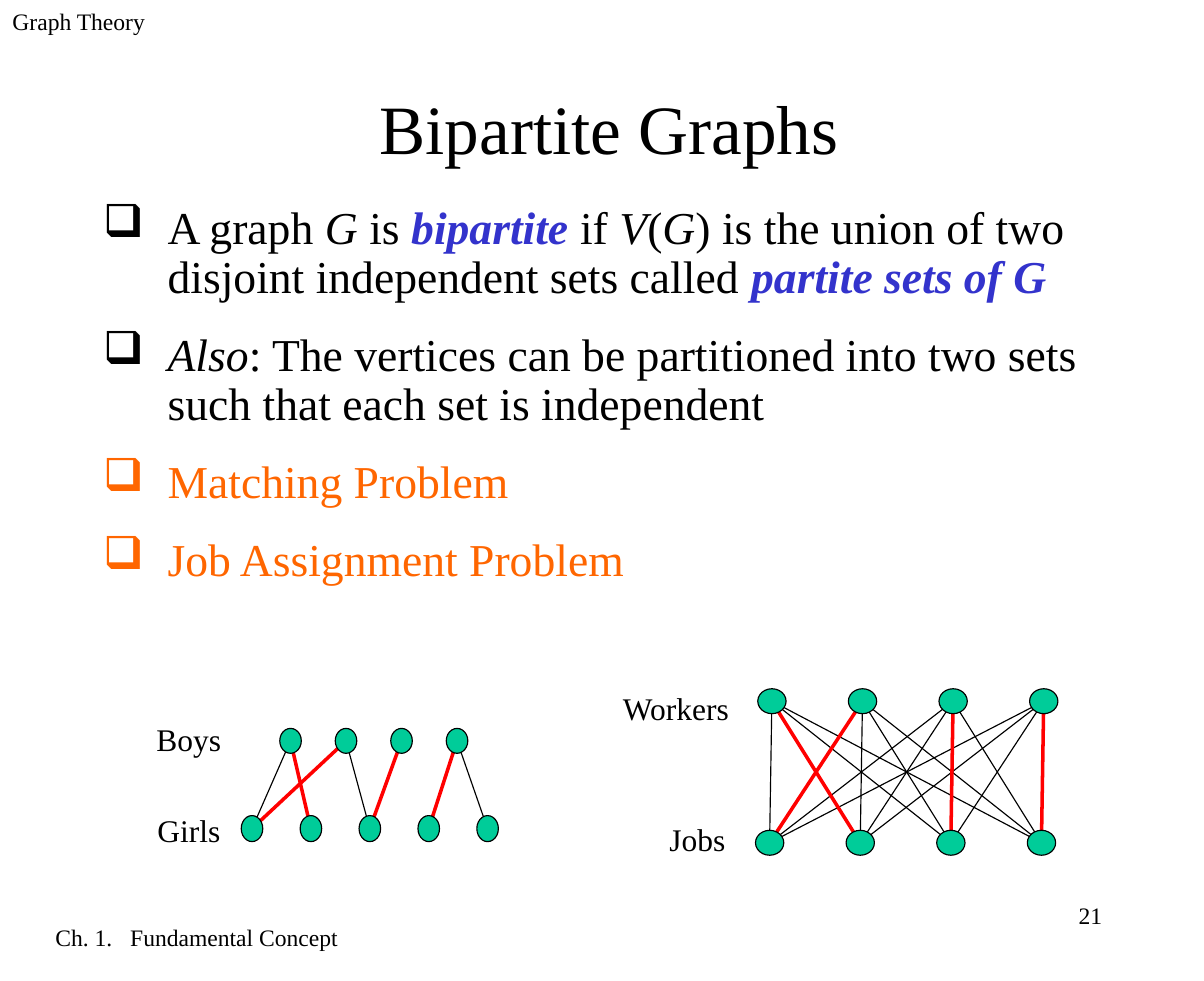
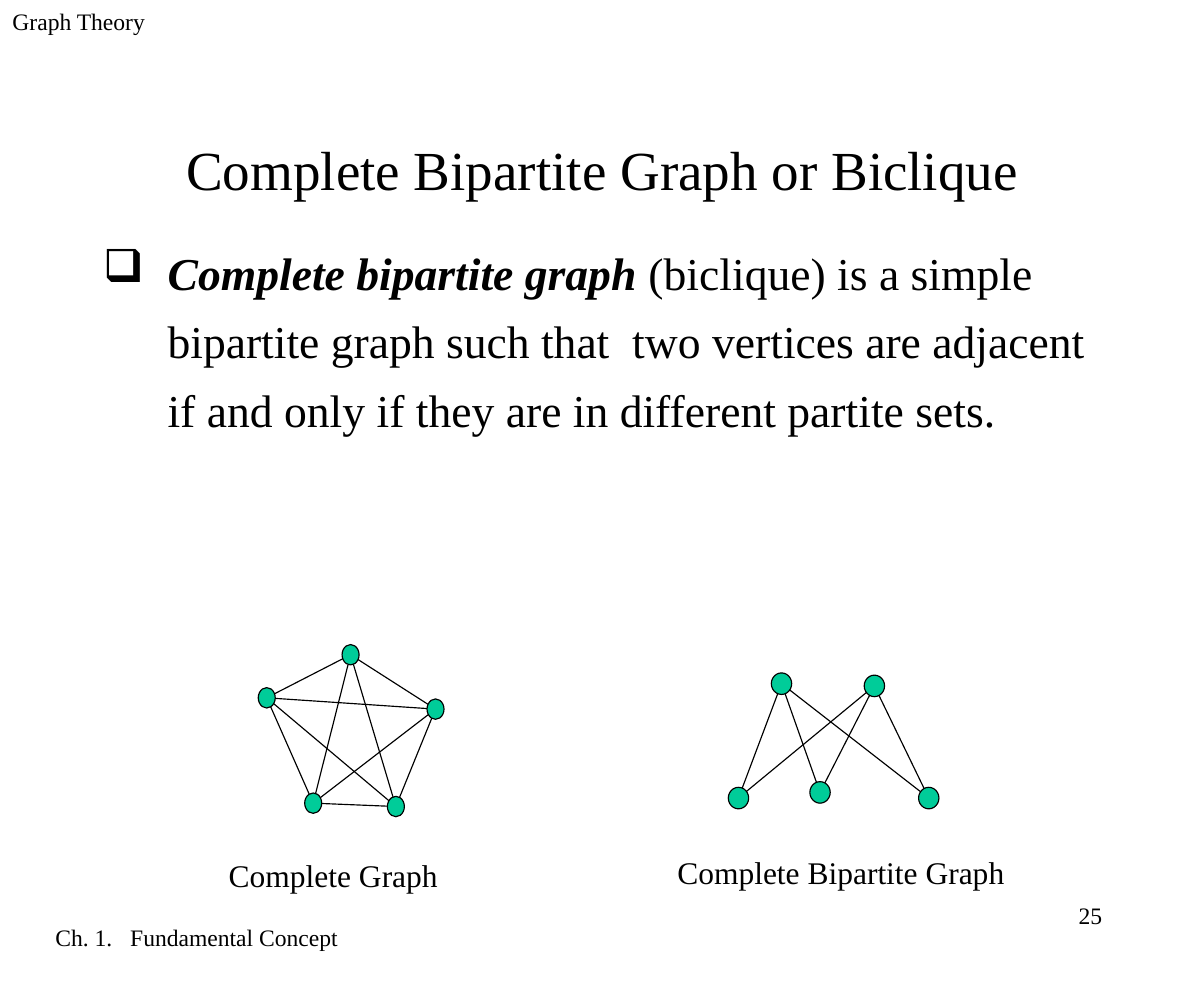
from itertools import combinations, product
from math import hypot

from lxml.etree import SubElement
from pptx import Presentation
from pptx.dml.color import RGBColor
from pptx.enum.shapes import MSO_CONNECTOR as Link, MSO_SHAPE as Kind
from pptx.enum.text import MSO_ANCHOR as Anchor, MSO_AUTO_SIZE as Fit, PP_ALIGN as Align
from pptx.oxml.ns import qn
from pptx.util import Inches, Pt

BLACK, BLUE, ORANGE, GREEN, RED = "000000", "3333CC", "FF6600", "00CC99", "FF0000"
FONT = "Times New Roman"


def tint(code):
    return RGBColor.from_string(code)


def put(par, text, size=20, color=BLACK, bold=False, ital=False):
    """Add one formatted run to a paragraph."""
    run = par.add_run()
    run.text = text
    font = run.font
    font.name, font.size, font.bold, font.italic = FONT, Pt(size), bold, ital
    font.color.rgb = tint(color)


def row(left, top, gap, count, wide, high):
    return [(left + i * gap, top, wide, high) for i in range(count)]


def rim(node, other):
    """Point on the node's outline that faces the other node."""
    (x, y, w, h), (ox, oy, ow, oh) = node, other
    cx, cy = x + w / 2, y + h / 2
    dx, dy = ox + ow / 2 - cx, oy + oh / 2 - cy
    part = 1 / hypot(dx / (w / 2), dy / (h / 2))
    return Inches(cx + dx * part), Inches(cy + dy * part)


class Deck:
    def __init__(self):
        self.prs = Presentation()
        self.prs.slide_width, self.prs.slide_height = Inches(10.63), Inches(8.66)
        self.slide = None

    def page(self, number):
        """Start a slide with the shared header, footer and number."""
        self.slide = self.prs.slides.add_slide(self.prs.slide_layouts[5])
        self.label("Graph Theory", 0, 0, 2.22, 0.58, size=15)
        foot = self.label("Ch. 1.\tFundamental Concept", 0, 8.09, 3.47, 0.58, size=15)
        foot.margin_left = Inches(0.49)
        tabs = SubElement(foot.paragraphs[0]._p.get_or_add_pPr(), qn("a:tabLst"))
        SubElement(tabs, qn("a:tab"), pos=str(Inches(0.66)), algn="l")
        self.label(str(number), 7.62, 7.89, 2.22, 0.58, size=15, align=Align.RIGHT)

    def frame(self, shape, anchor=Anchor.TOP):
        frame = shape.text_frame
        frame.word_wrap, frame.auto_size = True, Fit.NONE
        frame.vertical_anchor = anchor
        frame.margin_left = frame.margin_right = Inches(0.11)
        frame.margin_top = frame.margin_bottom = Inches(0.06)
        return frame

    def box(self, *place):
        return self.frame(self.slide.shapes.add_textbox(*map(Inches, place)))

    def label(self, text, *place, align=Align.LEFT, **form):
        frame = self.box(*place)
        frame.paragraphs[0].alignment = align
        put(frame.paragraphs[0], text, **form)
        return frame

    def title(self, text, *place, size, anchor=Anchor.MIDDLE):
        head = self.slide.shapes.title
        head.left, head.top, head.width, head.height = map(Inches, place)
        par = self.frame(head, anchor).paragraphs[0]
        par.alignment = Align.CENTER
        put(par, text, size=size)

    def bullets(self, items, *place, lead, gap):
        """Each item is a list of (text, format) runs; the first sets the bullet colour."""
        frame = self.box(*place)
        for i, runs in enumerate(items):
            par = frame.add_paragraph() if i else frame.paragraphs[0]
            par.line_spacing = lead
            if i:
                par.space_before = Pt(gap)
            props = par._p.get_or_add_pPr()
            props.set("marL", str(Inches(0.57)))
            props.set("indent", str(-Inches(0.57)))
            shade = SubElement(props, qn("a:buClr"))
            SubElement(shade, qn("a:srgbClr"), val=runs[0][1].get("color", BLACK))
            SubElement(props, qn("a:buChar"), char="❑")
            for text, form in runs:
                put(par, text, size=29, **form)

    def edge(self, start, end, bold=False):
        line = self.slide.shapes.add_connector(
            Link.STRAIGHT, *rim(start, end), *rim(end, start))
        line.line.color.rgb = tint(RED if bold else BLACK)
        line.line.width = Pt(2.25 if bold else 0.75)
        SubElement(line._element.spPr, qn("a:effectLst"))

    def node(self, place):
        dot = self.slide.shapes.add_shape(Kind.OVAL, *map(Inches, place))
        dot.shadow.inherit = False
        dot.fill.solid()
        dot.fill.fore_color.rgb = tint(GREEN)
        dot.line.color.rgb = tint(BLACK)
        dot.line.width = Pt(0.75)

    def graph(self, nodes, pairs, match=()):
        """Draw the edges, those in match bold and red, then the nodes."""
        for pair in sorted(pairs, key=lambda p: p in match):
            self.edge(nodes[pair[0]], nodes[pair[1]], pair in match)
        for place in nodes:
            self.node(place)


def matching(deck):
    plain, ital = {}, {"ital": True}
    term, hot = {"color": BLUE, "bold": True, "ital": True}, {"color": ORANGE}
    deck.page(21)
    deck.title("Bipartite Graphs", 0.86, 0.54, 9.04, 1.16, size=44)
    deck.bullets([
        [("A graph ", plain), ("G", ital), (" is ", plain), ("bipartite", term),
         (" if ", plain), ("V", ital), ("(", plain), ("G", ital),
         (") is the union of two disjoint independent sets called ", plain),
         ("partite sets of G", term)],
        [("Also", ital), (": The vertices can be partitioned into two sets "
                          "such that each set is independent", plain)],
        [("Matching Problem", hot)],
        [("Job Assignment Problem", hot)],
    ], 0.8, 1.75, 9.04, 3.78, lead=0.9, gap=18.1)

    workers = row(6.69, 6.08, 0.8, 4, 0.25, 0.22)
    jobs = row(6.67, 7.33, 0.8, 4, 0.25, 0.22)
    deck.graph(workers + jobs, product(range(4), range(4, 8)),
               match=[(0, 5), (1, 4), (2, 6), (3, 7)])
    deck.label("Workers", 5.39, 6.02, 1.21, 0.44)
    deck.label("Jobs", 5.8, 7.18, 0.81, 0.44)

    boys = row(2.47, 6.43, 0.49, 4, 0.19, 0.22)
    girls = row(2.13, 7.2, 0.52, 5, 0.19, 0.23)
    couples = [(0, 5), (1, 4), (2, 6), (3, 7)]
    deck.graph(boys + girls, couples + [(0, 4), (1, 6), (3, 8)], match=couples)
    deck.label("Boys", 1.27, 6.3, 0.84, 0.44)
    deck.label("Girls", 1.28, 7.1, 0.86, 0.44)


def biclique(deck):
    deck.page(25)
    deck.title("Complete Bipartite Graph or Biclique", 0.8, 0.62, 9.04, 1.22,
               size=35, anchor=Anchor.BOTTOM)
    deck.bullets([
        [("Complete bipartite graph", {"bold": True, "ital": True}),
         (" (biclique) is a simple bipartite graph such that  two vertices are "
          "adjacent if and only if they are in different partite sets.", {})],
    ], 0.8, 1.98, 9.04, 3.1, lead=1.25, gap=0)

    ring = [(3.02, 5.69), (3.77, 6.17), (3.42, 7.03), (2.69, 7), (2.28, 6.07)]
    deck.graph([(x, y, 0.15, 0.18) for x, y in ring], combinations(range(5), 2))
    deck.label("Complete Graph", 1.91, 7.5, 2.84, 0.44)

    parts = [(6.81, 5.94), (7.63, 5.96), (6.43, 6.95), (7.15, 6.9), (8.11, 6.95)]
    deck.graph([(x, y, 0.18, 0.19) for x, y in parts], product(range(2), range(2, 5)))
    deck.label("Complete Bipartite Graph", 5.87, 7.47, 3.34, 0.44)


def main():
    deck = Deck()
    matching(deck)
    biclique(deck)
    deck.prs.save("out.pptx")


if __name__ == "__main__":
    main()
